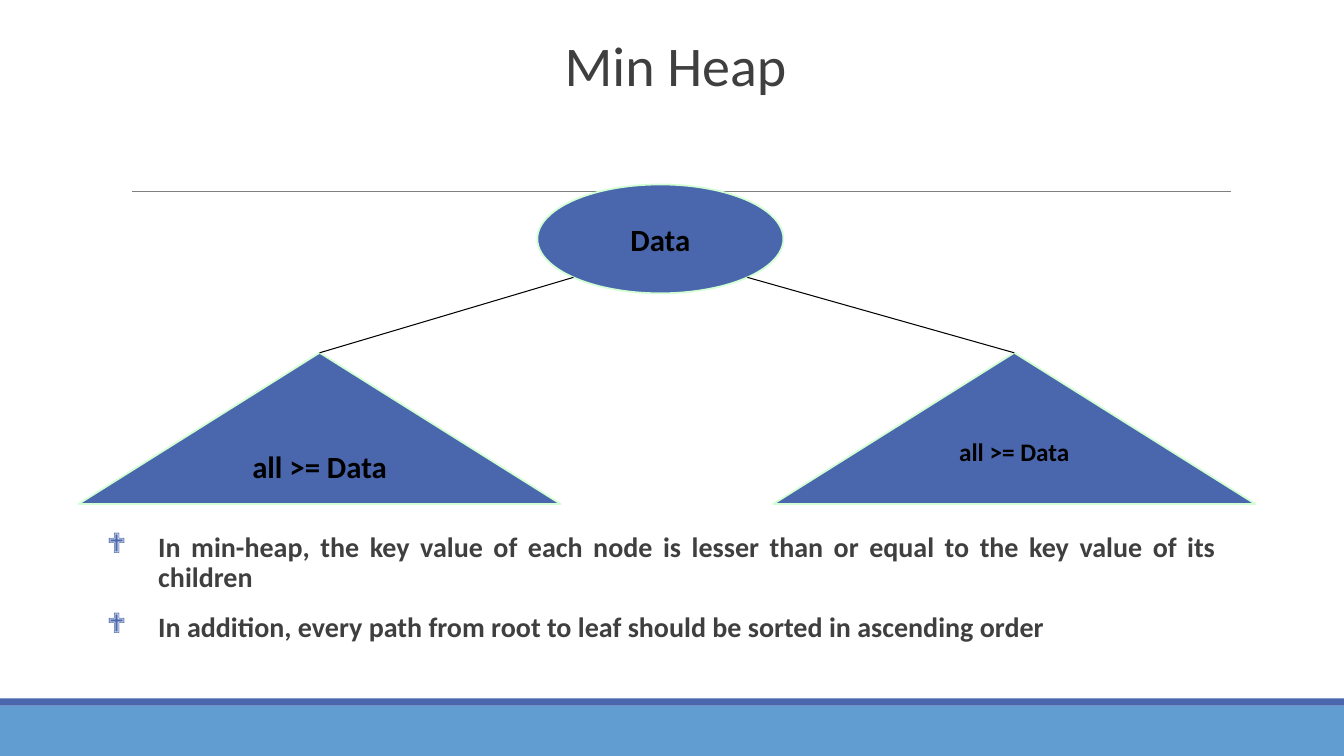
from math import cos, pi, sin

from lxml import etree
from pptx import Presentation
from pptx.dml.color import RGBColor
from pptx.enum.shapes import MSO_CONNECTOR, MSO_SHAPE
from pptx.enum.text import MSO_ANCHOR, PP_ALIGN
from pptx.oxml.ns import qn
from pptx.util import Inches, Pt

WIDTH, HEIGHT = 13.33, 7.5
BLUE, SKY, MINT = "4A66AC", "629DD1", "D2FED4"
GREY, DARK, BLACK = "7F7F7F", "3F3F3F", "000000"
BULLETS = [
    "In min-heap, the key value of each node is lesser than or equal to the key value of its children",
    "In addition, every path from root to leaf should be sorted in ascending order",
]


def rgb(color):
    return RGBColor.from_string(color)


def style_paragraph(p, size, color, bold=False, align=PP_ALIGN.CENTER):
    p.alignment = align
    for r in p.runs:
        r.font.name, r.font.size, r.font.bold = "Calibri", Pt(size), bold
        r.font.color.rgb = rgb(color)


def add_filled(slide, kind, box, fill, outline=None):
    sp = slide.shapes.add_shape(kind, *map(Inches, box))
    sp.shadow.inherit = False
    sp.fill.solid()
    sp.fill.fore_color.rgb = rgb(fill)
    if outline:
        sp.line.color.rgb = rgb(outline)
        sp.line.width = Pt(1.25)
    else:
        sp.line.fill.background()
    return sp


def add_line(slide, start, end, color):
    line = slide.shapes.add_connector(MSO_CONNECTOR.STRAIGHT, *map(Inches, (*start, *end)))
    line.line.color.rgb = rgb(color)
    line.line.width = Pt(0.75)
    etree.SubElement(line._element.spPr, qn("a:effectLst"))
    return line


def add_text_box(slide, box):
    tf = slide.shapes.add_textbox(*map(Inches, box)).text_frame
    tf.word_wrap = True
    return tf


def add_node(slide, kind, box, text, size):
    sp = add_filled(slide, kind, box, BLUE, MINT)
    tf = sp.text_frame
    tf.word_wrap = True
    tf.vertical_anchor = MSO_ANCHOR.MIDDLE
    tf.text = text
    style_paragraph(tf.paragraphs[0], size, BLACK, bold=True)
    return sp


def add_frame(slide):
    """Footer bands and the rule under the title."""
    add_filled(slide, MSO_SHAPE.RECTANGLE, (0, 7, WIDTH, 0.5), SKY)
    add_filled(slide, MSO_SHAPE.RECTANGLE, (0, 6.93, WIDTH, 0.07), BLUE)
    add_line(slide, (1.31, 1.9), (12.21, 1.9), GREY)


def add_title(slide, box, text):
    tf = add_text_box(slide, box)
    tf.vertical_anchor = MSO_ANCHOR.BOTTOM
    tf.text = text
    p = tf.paragraphs[0]
    p.line_spacing = 0.85
    style_paragraph(p, 40, DARK)


def add_heap(slide, box):
    """Root ellipse over two subtree triangles, joined by lines."""
    left, top, width, height = box
    tree_w, tree_h = 4.78, 1.5
    root_w, root_h = 2.44, 1.08
    root_x, root_y = left + 4.55, top
    add_node(slide, MSO_SHAPE.OVAL, (root_x, root_y, root_w, root_h), "Data", 22)

    tree_y = top + height - tree_h
    for tree_x, size, lift, angle in (
        (left, 22, 0, 3 * pi / 4),
        (left + width - tree_w, 18, 0.3, pi / 4),
    ):
        tree = add_node(slide, MSO_SHAPE.ISOSCELES_TRIANGLE,
                        (tree_x, tree_y, tree_w, tree_h), "all >= Data", size)
        tree.text_frame.margin_bottom = Inches(0.05 + lift)
        start = (root_x + root_w / 2 * (1 + cos(angle)),
                 root_y + root_h / 2 * (1 + sin(angle)))
        edge = add_line(slide, start, (tree_x + tree_w / 2, tree_y), BLACK)
        edge.end_connect(tree, 0)


def add_bullets(slide, box, items):
    tf = add_text_box(slide, box)
    tf.margin_left = tf.margin_right = 0
    for i, item in enumerate(items):
        p = tf.paragraphs[0] if i == 0 else tf.add_paragraph()
        p.text = item
        pPr = p._p.get_or_add_pPr()
        pPr.set("marL", str(Inches(0.51)))
        pPr.set("indent", str(-Inches(0.51)))
        color = etree.SubElement(pPr, qn("a:buClr"))
        etree.SubElement(color, qn("a:srgbClr"), val=BLUE)
        etree.SubElement(pPr, qn("a:buFont"), typeface="Wingdings")
        etree.SubElement(pPr, qn("a:buChar"), char="❖")
        p.line_spacing = 0.9
        if i:
            p.space_before = Pt(14)
        style_paragraph(p, 20, DARK, bold=True, align=PP_ALIGN.JUSTIFY)


def main():
    prs = Presentation()
    prs.slide_width, prs.slide_height = Inches(WIDTH), Inches(HEIGHT)
    slide = prs.slides.add_slide(prs.slide_layouts[6])
    add_frame(slide)
    add_title(slide, (1.2, 0.31, 11, 0.71), "Min Heap")
    add_heap(slide, (0.78, 1.83, 11.67, 3.17))
    add_bullets(slide, (1.06, 5.24, 11, 1.99), BULLETS)
    prs.save("out.pptx")


if __name__ == "__main__":
    main()
